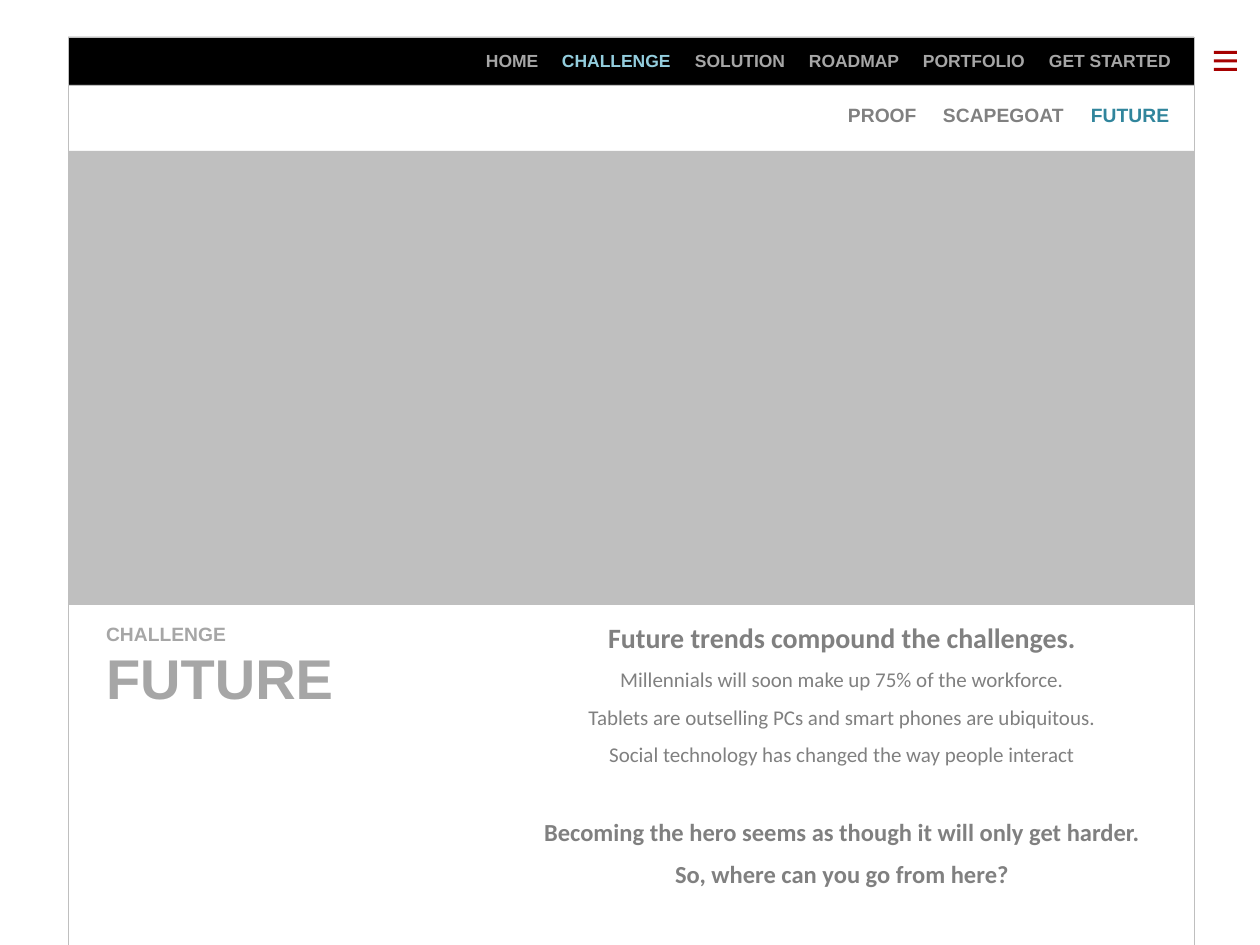
from collections import namedtuple

from lxml.etree import SubElement
from pptx import Presentation
from pptx.dml.color import RGBColor
from pptx.enum.shapes import MSO_SHAPE
from pptx.enum.text import PP_ALIGN
from pptx.oxml.ns import qn
from pptx.util import Emu, Pt

PX_PER_INCH = 126
COLORS = {
    "white": "FFFFFF",
    "black": "000000",
    "border": "BFBFBF",
    "light_text": "A6A6A6",
    "body_text": "808080",
    "active_section": "93CDDD",
    "active_page": "31859C",
    "menu_icon": "A60000",
}

Box = namedtuple("Box", "left top width height")


def px(length):
    return Emu(round(length * 914400 / PX_PER_INCH))


def color(name):
    return RGBColor.from_string(COLORS[name])


def add_rectangle(slide, box, fill, line=None):
    shape = slide.shapes.add_shape(MSO_SHAPE.RECTANGLE, *map(px, box))
    shape.shadow.inherit = False
    shape.fill.solid()
    shape.fill.fore_color.rgb = color(fill)
    if line:
        shape.line.color.rgb = color(line)
        shape.line.width = Pt(0.25)
    else:
        shape.line.fill.background()


def add_text_frame(slide, box):
    frame = slide.shapes.add_textbox(*map(px, box)).text_frame
    frame.margin_left = frame.margin_right = 0
    frame.margin_top = frame.margin_bottom = 0
    frame.word_wrap = True
    return frame


def add_run(paragraph, text, size, fill, font="Arial", bold=True):
    run = paragraph.add_run()
    run.text = text
    run.font.name = font
    run.font.size = Pt(size)
    run.font.bold = bold
    run.font.color.rgb = color(fill)


def add_menu(slide, box, items, offsets, active, size, fill, active_fill):
    """Sets the items on one line, each after the first at a tab stop."""
    paragraph = add_text_frame(slide, box).paragraphs[0]
    paragraph.alignment = PP_ALIGN.LEFT
    tab_list = SubElement(paragraph._p.get_or_add_pPr(), qn("a:tabLst"))
    for offset in offsets:
        SubElement(tab_list, qn("a:tab"), pos=str(px(offset)), algn="l")
    for index, item in enumerate(items):
        text = f"\t{item}" if index else item
        add_run(paragraph, text, size, active_fill if item == active else fill)


def add_navigation_bar(slide, box):
    add_rectangle(slide, box, "black", "border")
    add_menu(
        slide, Box(box.left + 418, box.top + 13, 700, 22),
        ["HOME", "CHALLENGE", "SOLUTION", "ROADMAP", "PORTFOLIO", "GET STARTED"],
        [76, 209, 323, 437, 563],
        active="CHALLENGE", size=10, fill="light_text", active_fill="active_section",
    )


def add_menu_icon(slide, box):
    bar_height, bar_count = 3, 3
    step = (box.height - bar_height) / (bar_count - 1)
    for index in range(bar_count):
        top = box.top + index * step
        add_rectangle(slide, Box(box.left, top, box.width, bar_height), "menu_icon")


def add_page_panel(slide, box):
    add_rectangle(slide, box, "white", "border")
    add_menu(
        slide, Box(box.left + 780, box.top + 18, 340, 24),
        ["PROOF", "SCAPEGOAT", "FUTURE"],
        [95, 243],
        active="FUTURE", size=11, fill="body_text", active_fill="active_page",
    )


def add_heading(slide, box):
    section = add_text_frame(slide, Box(box.left, box.top, box.width, 24))
    add_run(section.paragraphs[0], "CHALLENGE", 11, "light_text")
    title = add_text_frame(slide, Box(box.left, box.top + 21, box.width, 68))
    add_run(title.paragraphs[0], "FUTURE", 32, "light_text")


def add_message(slide, box):
    # Text, size, bold, space after
    lines = [
        ("Future trends compound the challenges.", 16, True, 7),
        ("Millennials will soon make up 75% of the workforce.", 12, False, 7),
        ("Tablets are outselling PCs and smart phones are ubiquitous.", 12, False, 7),
        ("Social technology has changed the way people interact", 12, False, 28.6),
        ("Becoming the hero seems as though it will only get harder.", 14, True, 7),
        ("So, where can you go from here?", 14, True, 7),
    ]
    frame = add_text_frame(slide, box)
    for index, (text, size, bold, space_after) in enumerate(lines):
        paragraph = frame.add_paragraph() if index else frame.paragraphs[0]
        paragraph.alignment = PP_ALIGN.CENTER
        paragraph.space_after = Pt(space_after)
        add_run(paragraph, text, size, "body_text", font="Calibri", bold=bold)


def main():
    presentation = Presentation()
    presentation.slide_width = px(1260)
    presentation.slide_height = px(945)
    slide = presentation.slides.add_slide(presentation.slide_layouts[6])

    add_navigation_bar(slide, Box(68, 37, 1126, 49))
    add_menu_icon(slide, Box(1214, 51, 23, 20))
    add_page_panel(slide, Box(68, 85, 1126, 860))
    add_rectangle(slide, Box(68, 151, 1126, 453), "border", "border")
    add_heading(slide, Box(106, 622, 400, 89))
    add_message(slide, Box(505, 621, 674, 307))

    presentation.save("out.pptx")


if __name__ == "__main__":
    main()
